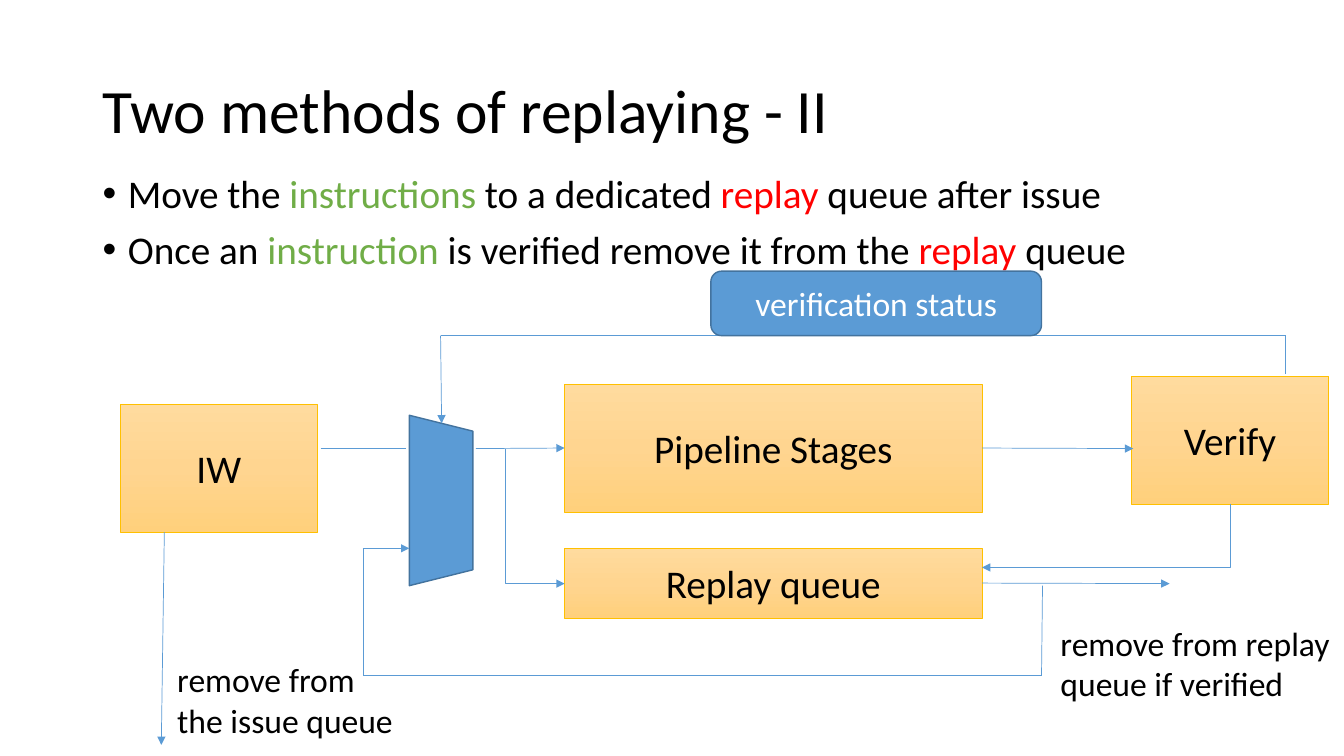
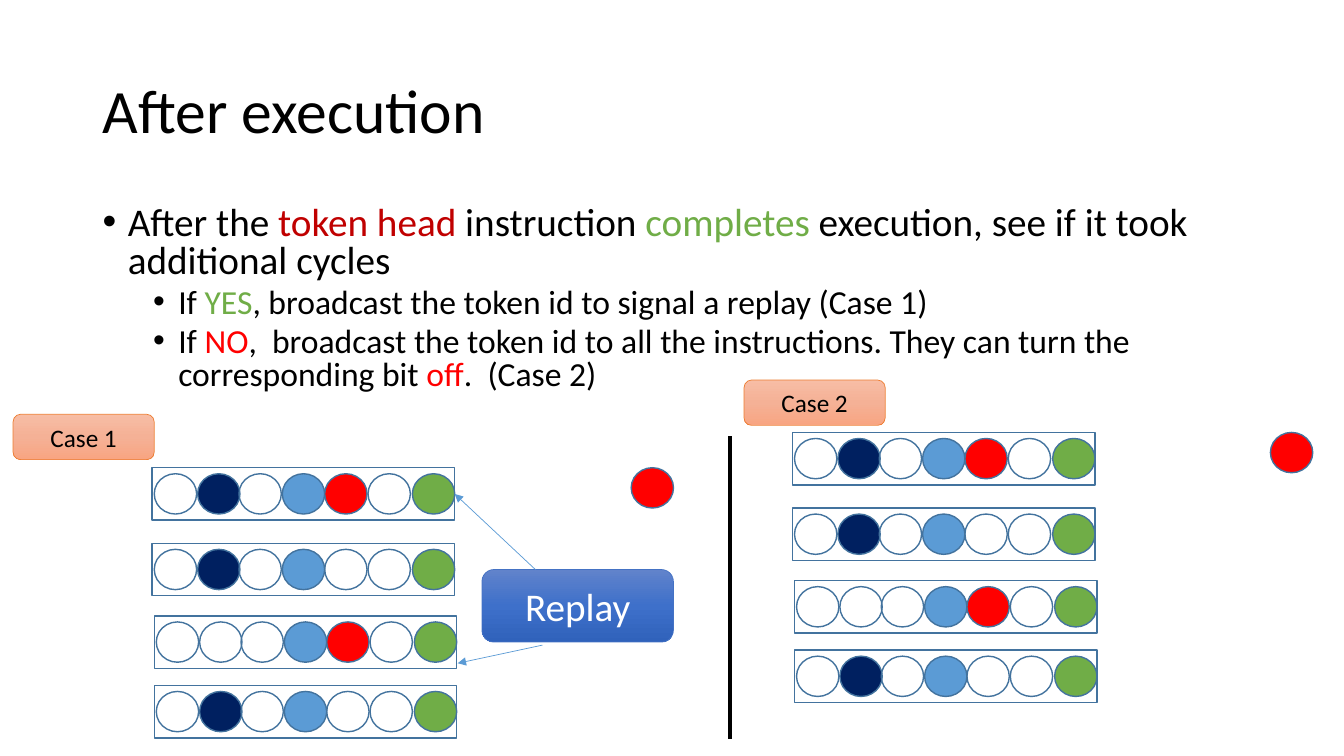
from copy import deepcopy
from dataclasses import dataclass

from lxml import etree
from pptx import Presentation
from pptx.dml.color import RGBColor
from pptx.enum import shapes, text
from pptx.oxml import ns
from pptx.util import Inches, Pt

SHAPE = shapes.MSO_SHAPE
LINK = shapes.MSO_CONNECTOR


@dataclass(frozen=True)
class Theme:
    """Colours, gradients and type sizes shared by the slides."""
    font: str = "Calibri"
    black: str = "000000"
    white: str = "FFFFFF"
    red: str = "FF0000"
    dark: str = "C00000"
    green: str = "70AD47"
    blue: str = "5B9BD5"
    navy: str = "002060"
    edge: str = "43739E"
    gold: tuple = ("FFDB9E", "FFD590", "FFD07C")
    rust: tuple = ("F7BDA5", "F5B196", "F8A582")
    royal: tuple = ("6183CB", "3E70CA", "3062BB")
    goldline: str = "FFC000"
    rustline: str = "ED7D31"
    royalline: str = "4472C4"
    head: int = 44
    big: int = 28
    mid: int = 24
    small: int = 18


T = Theme()


def rgb(code):
    """Turn a hex code into a colour."""
    return RGBColor.from_string(code)


def style(run, size, color):
    """Set the font of a run."""
    run.font.name = T.font
    run.font.size = Pt(size)
    run.font.color.rgb = rgb(color)


def write(frame, words, size, color, align=None):
    """Fill a text frame with lines in one style."""
    frame.text = words
    for para in frame.paragraphs:
        para.alignment = align
        for run in para.runs:
            style(run, size, color)


def paint(shape, fill):
    """Apply no fill, a solid colour or a three-stop gradient."""
    if fill is None:
        shape.fill.background()
    elif isinstance(fill, str):
        shape.fill.solid()
        shape.fill.fore_color.rgb = rgb(fill)
    else:
        shape.fill.gradient()
        shape.fill.gradient_angle = 270
        stops = shape._element.spPr.find(".//" + ns.qn("a:gsLst"))
        stops.insert(1, deepcopy(stops[0]))
        for stop, code, place in zip(shape.fill.gradient_stops, fill, (0, 0.5, 1)):
            stop.color.rgb = rgb(code)
            stop.position = place


def draw(slide, kind, box, fill=None, line=T.edge, width=1,
         words="", size=T.big, color=T.black):
    """Add a preset shape with optional centred text."""
    shape = slide.shapes.add_shape(kind, *map(Inches, box))
    shape.shadow.inherit = False
    paint(shape, fill)
    shape.line.color.rgb = rgb(line)
    shape.line.width = Pt(width)
    if words:
        shape.text_frame.vertical_anchor = text.MSO_ANCHOR.MIDDLE
        write(shape.text_frame, words, size, color, text.PP_ALIGN.CENTER)
    return shape


def link(slide, start, end, arrow=True, color=T.blue, width=0.5,
         kind=LINK.STRAIGHT, src=None, dst=None):
    """Add a connector, joined to (shape, site) pairs when given."""
    conn = slide.shapes.add_connector(kind, *map(Inches, (*start, *end)))
    conn.line.color.rgb = rgb(color)
    conn.line.width = Pt(width)
    if arrow:
        tail = etree.SubElement(conn.line._get_or_add_ln(), ns.qn("a:tailEnd"))
        tail.set("type", "triangle")
    etree.SubElement(conn._element.spPr, ns.qn("a:effectLst"))
    if src:
        conn.begin_connect(*src)
    if dst:
        conn.end_connect(*dst)
    return conn


def corner(slide, start, end, dst=None):
    """Add an arrow that runs down and then sideways."""
    conn = link(slide, start, end, kind=LINK.ELBOW, dst=dst)
    wide, tall = end[0] - start[0], end[1] - start[1]
    props = conn._element.spPr
    props.find(ns.qn("a:prstGeom")).set("prst", "bentConnector2")
    frame = props.find(ns.qn("a:xfrm"))
    right = wide > 0
    frame.set("rot", str((270 if right else 90) * 60000))
    frame.set("flipH", "1" if right else "0")
    conn.left = Inches((start[0] + end[0] - tall) / 2)
    conn.top = Inches((start[1] + end[1] - abs(wide)) / 2)
    conn.width, conn.height = Inches(tall), Inches(abs(wide))


def label(slide, box, words):
    """Add an unwrapped text label."""
    area = slide.shapes.add_textbox(*map(Inches, box))
    area.text_frame.word_wrap = False
    write(area.text_frame, words, T.mid, T.black)


def start(deck, words):
    """Add a slide with its title."""
    slide = deck.slides.add_slide(deck.slide_layouts[5])
    title = slide.shapes.title
    title.left, title.top, title.width, title.height = map(
        Inches, (0.92, 0.4, 11.5, 1.45))
    frame = title.text_frame
    frame.auto_size = text.MSO_AUTO_SIZE.NONE
    frame.vertical_anchor = text.MSO_ANCHOR.MIDDLE
    write(frame, words, T.head, T.black, text.PP_ALIGN.LEFT)
    frame.paragraphs[0].line_spacing = 0.9
    return slide


def bullets(slide, box, items, space):
    """Add bullets from (level, runs) items; a run is (words, colour)."""
    frame = slide.shapes.add_textbox(*map(Inches, box)).text_frame
    frame.word_wrap = True
    for num, (level, runs) in enumerate(items):
        para = frame.add_paragraph() if num else frame.paragraphs[0]
        props = para._p.get_or_add_pPr()
        props.set("marL", str(Inches(0.25 + level * 0.5)))
        props.set("indent", str(Inches(-0.25)))
        etree.SubElement(props, ns.qn("a:buFont")).set("typeface", "Arial")
        etree.SubElement(props, ns.qn("a:buChar")).set("char", "•")
        para.level = level
        para.line_spacing = space
        para.space_before = Pt((5 if level else 10) if num else 0)
        for words, color in runs:
            run = para.add_run()
            run.text = words
            style(run, T.mid if level else T.big, color)


def block(slide, box, words):
    """Add a gold stage of the pipeline."""
    return draw(slide, SHAPE.RECTANGLE, box, T.gold, T.goldline, 0.5, words)


def flow(slide, x, y):
    """Draw the replay pipeline from its top left corner."""
    def at(dx, dy):
        return x + dx, y + dy

    block(slide, (*at(0, 1.32), 1.96, 1.27), "IW")
    mux = draw(slide, SHAPE.TRAPEZOID, (*at(2.34, 1.96), 1.69, 0.63), T.blue)
    mux.rotation = 90
    pipe = block(slide, (*at(4.41, 1.12), 4.14, 1.27), "Pipeline Stages")
    queue = block(slide, (*at(4.41, 2.75), 4.14, 0.69), "Replay queue")
    block(slide, (*at(10.03, 1.04), 1.96, 1.27), "Verify")

    link(slide, at(1.99, 1.76), at(2.84, 1.76), False)
    link(slide, at(3.53, 1.76), at(4.41, 1.76), dst=(pipe, 1))
    link(slide, at(8.55, 1.76), at(10.05, 1.76), src=(pipe, 3))
    corner(slide, at(3.82, 1.76), at(4.41, 3.1), (queue, 1))
    corner(slide, at(11.01, 2.31), at(8.55, 2.94))
    link(slide, at(8.55, 3.1), at(10.41, 3.1), src=(queue, 3))
    link(slide, at(0.44, 2.59), at(0.41, 4.7))

    loop = [at(9.15, 3.12), at(9.14, 4.01), at(2.41, 4.01),
            at(2.41, 2.75), at(2.87, 2.75)]
    back = [at(11.56, 1.02), at(11.56, 0.64), at(3.18, 0.64), at(3.19, 1.51)]
    for route in (loop, back):
        for a, b in zip(route, route[1:]):
            link(slide, a, b, b == route[-1])

    draw(slide, SHAPE.ROUNDED_RECTANGLE, (*at(5.86, 0), 3.28, 0.64), T.blue,
         words="verification status", size=T.mid, color=T.white)
    label(slide, (*at(0.47, 3.8), 2.36, 0.91), "remove from \nthe issue queue")
    label(slide, (*at(9.23, 3.44), 2.9, 0.91),
          "remove from replay\nqueue if verified")


def dot(slide, x, y, fill):
    """Add one token bit."""
    draw(slide, SHAPE.OVAL, (x, y, 0.42, 0.4), fill)


def row(slide, x, y, bits):
    """Draw one vector of token bits."""
    hues = {"n": T.navy, "b": T.blue, "r": T.red, "g": T.green}
    frame = draw(slide, SHAPE.RECTANGLE, (x, y, 3, 0.52))
    for dx, bit in zip((0.02, 0.45, 0.86, 1.29, 1.71, 2.14, 2.58), bits):
        dot(slide, x + dx, y + 0.06, hues.get(bit))
    return frame


def case(slide, x, y, words, tag, token):
    """Draw a labelled case and return its rows."""
    draw(slide, SHAPE.ROUNDED_RECTANGLE, (*tag, 1.4, 0.45), T.rust,
         T.rustline, 0.5, words, T.small)
    dot(slide, *token, T.red)
    grid = ((0, 0, "-n-br-g"), (0, 0.75, "-n-b--g"),
            (0.02, 1.47, "---br-g"), (0.02, 2.16, "-n-b--g"))
    return [row(slide, x + dx, y + dy, bits) for dx, dy, bits in grid]


def methods(deck):
    """Build the slide on the second replay method."""
    slide = start(deck, "Two methods of replaying - II")
    bullets(slide, (0.92, 1.68, 11.5, 1.26), [
        (0, [("Move the ", T.black), ("instructions", T.green),
             (" to a dedicated ", T.black), ("replay", T.red),
             (" queue after issue", T.black)]),
        (0, [("Once an ", T.black), ("instruction", T.green),
             (" is verified remove it from the ", T.black),
             ("replay", T.red), (" queue", T.black)])], 0.9)
    flow(slide, 1.19, 2.69)


def after(deck):
    """Build the slide on the two cases after execution."""
    slide = start(deck, "After execution")
    bullets(slide, (0.92, 2, 11.5, 2.11), [
        (0, [("After the ", T.black), ("token head ", T.dark),
             ("instruction ", T.black), ("completes", T.green),
             (" execution, see if it took additional cycles", T.black)]),
        (1, [("If ", T.black), ("YES", T.green),
             (", broadcast the token id to signal a replay (Case 1)", T.black)]),
        (1, [("If ", T.black), ("NO", T.red),
             (",  broadcast the token id to all the instructions. "
              "They can turn the corresponding bit ", T.black),
             ("off", T.red), (".  (Case 2)", T.black)])], 0.8)
    rows = case(slide, 1.51, 4.64, "Case 1", (0.13, 4.11), (6.26, 4.64))
    draw(slide, SHAPE.ROUNDED_RECTANGLE, (4.78, 5.65, 1.9, 0.72), T.royal,
         T.royalline, 0.5, "Replay", color=T.white)
    link(slide, (5.31, 5.65), (4.51, 4.9), dst=(rows[0], 3))
    link(slide, (5.38, 6.4), (4.54, 6.58))
    link(slide, (7.24, 4.33), (7.24, 7.33), False, T.black, 3)
    case(slide, 7.86, 4.29, "Case 2", (7.38, 3.77), (12.6, 4.29))


def main():
    """Build and save the deck."""
    deck = Presentation()
    deck.slide_width, deck.slide_height = Inches(13.33), Inches(7.5)
    methods(deck)
    after(deck)
    deck.save("out.pptx")


if __name__ == "__main__":
    main()
